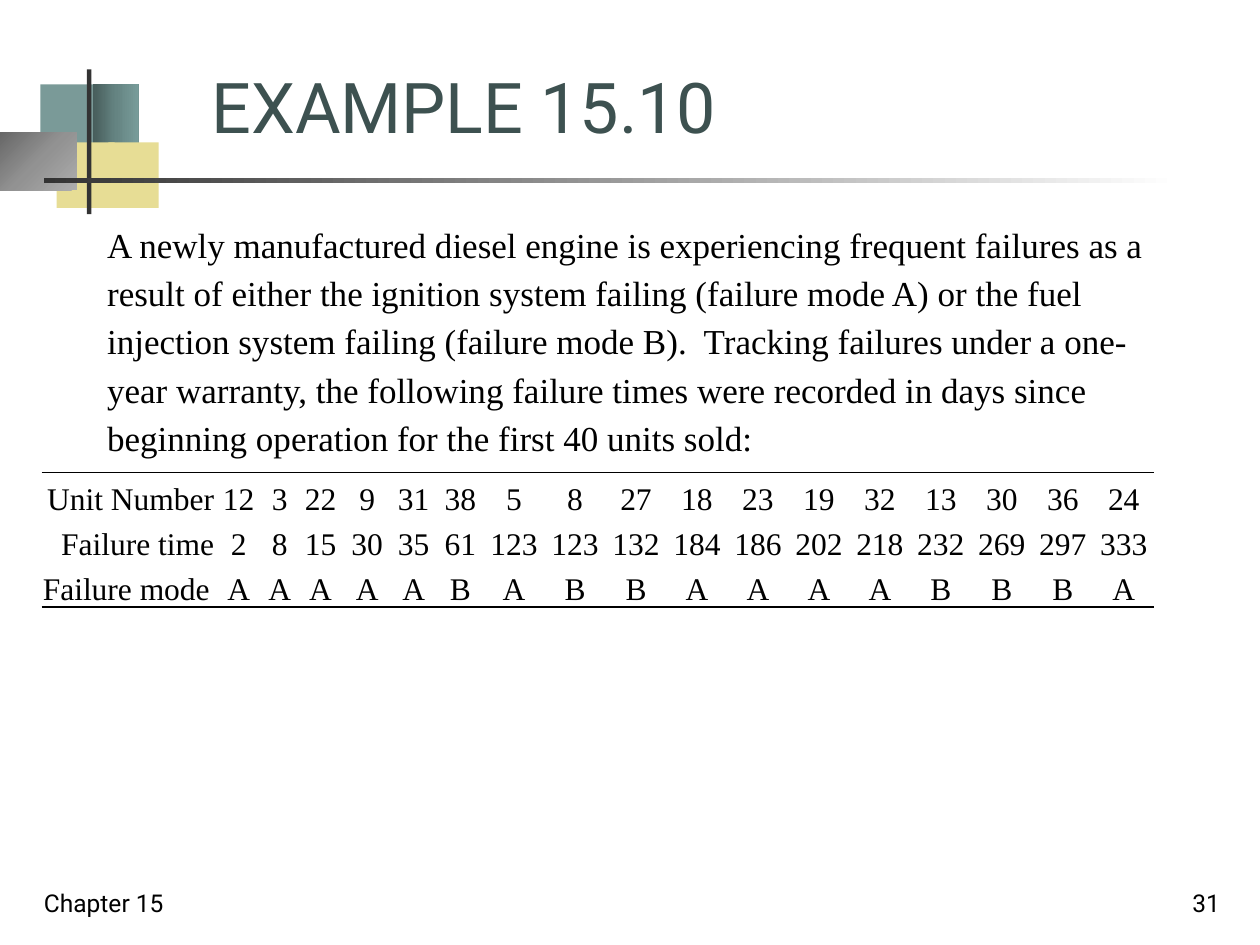
import dataclasses
import typing

import lxml.etree
import pptx
import pptx.dml.color
import pptx.enum.shapes
import pptx.enum.text
import pptx.oxml
import pptx.oxml.ns
import pptx.util

SLIDE_WIDTH = pptx.util.Inches(10)
SLIDE_HEIGHT = pptx.util.Inches(7.5)
GRID_COLUMNS, GRID_ROWS = 100, 75
ALIGN = pptx.enum.text.PP_ALIGN
ANCHOR = pptx.enum.text.MSO_ANCHOR


@dataclasses.dataclass(frozen=True)
class Theme:
    heading_font: str = "Roboto"
    reading_font: str = "Times New Roman"
    title_size: int = 40
    body_size: int = 20
    table_size: int = 18
    footer_size: int = 14
    rule_width: int = 1
    line_spacing: float = 1.15
    title: str = "3D5150"
    text: str = "000000"
    teal: str = "7A9A98"
    teal_fade: tuple[str, ...] = ("475D5B", "658482", "789C9A")
    yellow: str = "E7DD95"
    gray_fade: tuple[str, ...] = ("676767", "929292", "ADADAD")
    dark: str = "333333"
    rule_fade: tuple[str, ...] = ("333333", "FFFFFF")


class Area(typing.NamedTuple):
    column: float
    row: float
    columns: float
    rows: float


class Block(typing.NamedTuple):
    area: Area
    colors: tuple[str, ...]
    radial: bool = False


class TextStyle(typing.NamedTuple):
    font: str
    size: int
    color: str
    alignment: typing.Any = ALIGN.LEFT
    line_spacing: float = 1.0


class Footer(typing.NamedTuple):
    text: str
    area: Area
    alignment: typing.Any


THEME = Theme()
BLOCKS = (
    Block(Area(3.2, 6.7, 4.8, 5.2), (THEME.teal,)),
    Block(Area(7.4, 6.7, 3.6, 5.2), THEME.teal_fade),
    Block(Area(4.5, 11.3, 4.6, 5.2), (THEME.yellow,)),
    Block(Area(8.6, 11.3, 4, 5.2), (THEME.yellow,)),
    Block(Area(0, 10.5, 6.1, 4.6), THEME.gray_fade, radial=True),
    Block(Area(6.9, 5.5, 0.35, 11.5), (THEME.dark,)),
    Block(Area(3.5, 14.15, 90, 0.35), THEME.rule_fade),
)
FOOTERS = (
    Footer("Chapter 15", Area(2.5, 68.3, 20.8, 5), ALIGN.LEFT),
    Footer("31", Area(77, 68.3, 20.8, 5), ALIGN.RIGHT),
)
BODY = (
    "A newly manufactured diesel engine is experiencing frequent failures as a result of "
    "either the ignition system failing (failure mode A) or the fuel injection system failing "
    "(failure mode B).  Tracking failures under a one-year warranty, the following failure "
    "times were recorded in days since beginning operation for the first 40 units sold:"
)
FAILURES = (
    ("Unit Number ", *"12 3 22 9 31 38 5 8 27 18 23 19 32 13 30 36 24".split()),
    ("Failure time", *"2 8 15 30 35 61 123 123 132 184 186 202 218 232 269 297 333".split()),
    ("Failure mode", *"AAAAABABBAAAABBBA"),
)
LABEL_ALIGNMENTS = (ALIGN.RIGHT, ALIGN.RIGHT, ALIGN.LEFT)
TABLE_COLUMNS = (13.8, 3.7, 2.8, *[3.7] * 4, *[4.84] * 11)
TABLE_AREA = Area(3.3, 37.5, sum(TABLE_COLUMNS), 10.7)


def across(columns: float) -> int:
    return round(SLIDE_WIDTH * columns / GRID_COLUMNS)


def down(rows: float) -> int:
    return round(SLIDE_HEIGHT * rows / GRID_ROWS)


def box(area: Area) -> tuple[int, int, int, int]:
    return across(area.column), down(area.row), across(area.columns), down(area.rows)


def set_values(target: typing.Any, values: dict[str, typing.Any]) -> None:
    for name, value in values.items():
        setattr(target, name, value)


def rgb(color: str) -> pptx.dml.color.RGBColor:
    return pptx.dml.color.RGBColor.from_string(color)


def write(frame: typing.Any, text: str, style: TextStyle) -> typing.Any:
    paragraph = frame.paragraphs[0]
    set_values(paragraph, {
        "alignment": style.alignment,
        "line_spacing": style.line_spacing,
        "space_before": pptx.util.Pt(0),
    })
    run = paragraph.add_run()
    run.text = text
    set_values(run.font, {"name": style.font, "size": pptx.util.Pt(style.size)})
    run.font.color.rgb = rgb(style.color)
    return paragraph


def gradient(colors: tuple[str, ...], radial: bool) -> typing.Any:
    stops = "".join(
        f'<a:gs pos="{100000 * index // (len(colors) - 1)}"><a:srgbClr val="{color}"/></a:gs>'
        for index, color in enumerate(colors)
    )
    direction = (
        '<a:path path="circle"><a:fillToRect r="100000" b="100000"/></a:path>'
        if radial else '<a:lin ang="0" scaled="0"/>'
    )
    return pptx.oxml.parse_xml(
        f'<a:gradFill {pptx.oxml.ns.nsdecls("a")}><a:gsLst>{stops}</a:gsLst>{direction}</a:gradFill>'
    )


def draw_block(slide: typing.Any, block: Block) -> None:
    shape = slide.shapes.add_shape(pptx.enum.shapes.MSO_SHAPE.RECTANGLE, *box(block.area))
    shape.shadow.inherit = False
    shape.line.fill.background()
    if len(block.colors) == 1:
        shape.fill.solid()
        shape.fill.fore_color.rgb = rgb(block.colors[0])
        return
    shape.fill.gradient()
    properties = shape.element.spPr
    default_fill = properties.find(pptx.oxml.ns.qn("a:gradFill"))
    properties.replace(default_fill, gradient(block.colors, block.radial))


def fill_placeholder(placeholder: typing.Any, area: Area, anchor: typing.Any,
                     text: str, style: TextStyle) -> typing.Any:
    set_values(placeholder, dict(zip(("left", "top", "width", "height"), box(area))))
    set_values(placeholder.text_frame, {
        "vertical_anchor": anchor,
        "word_wrap": True,
        "auto_size": pptx.enum.text.MSO_AUTO_SIZE.NONE,
    })
    placeholder.element.getparent().append(placeholder.element)
    return write(placeholder.text_frame, text, style)


def draw_footer(slide: typing.Any, footer: Footer) -> None:
    frame = slide.shapes.add_textbox(*box(footer.area)).text_frame
    set_values(frame, {"word_wrap": True, "vertical_anchor": ANCHOR.BOTTOM})
    write(frame, footer.text,
          TextStyle(THEME.heading_font, THEME.footer_size, THEME.text, footer.alignment))


def set_borders(cell: typing.Any, ruled: set[str]) -> None:
    properties = cell._tc.get_or_add_tcPr()
    for index, side in enumerate("LRTB"):
        border = lxml.etree.Element(pptx.oxml.ns.qn(f"a:ln{side}"))
        properties.insert(index, border)
        if side in ruled:
            border.set("w", str(pptx.util.Pt(THEME.rule_width)))
            fill = lxml.etree.SubElement(border, pptx.oxml.ns.qn("a:solidFill"))
            lxml.etree.SubElement(fill, pptx.oxml.ns.qn("a:srgbClr"), val=THEME.text)
        else:
            lxml.etree.SubElement(border, pptx.oxml.ns.qn("a:noFill"))


def draw_table(slide: typing.Any) -> None:
    table = slide.shapes.add_table(len(FAILURES), len(TABLE_COLUMNS), *box(TABLE_AREA)).table
    set_values(table, {"first_row": False, "horz_banding": False})
    for column, width in zip(table.columns, TABLE_COLUMNS):
        column.width = across(width)
    margin = pptx.util.Inches(0.01)
    for row, values in enumerate(FAILURES):
        ruled = {0: {"T"}, len(FAILURES) - 1: {"B"}}.get(row, set())
        for column, value in enumerate(values):
            cell = table.cell(row, column)
            set_values(cell, {
                "margin_left": margin, "margin_right": margin, "margin_top": margin,
                "margin_bottom": 0, "vertical_anchor": ANCHOR.BOTTOM,
            })
            cell.fill.background()
            set_borders(cell, ruled)
            alignment = ALIGN.CENTER if column else LABEL_ALIGNMENTS[row]
            write(cell.text_frame, value, TextStyle(
                THEME.reading_font, THEME.table_size, THEME.text, alignment, THEME.line_spacing))


def main() -> None:
    presentation = pptx.Presentation()
    set_values(presentation, {"slide_width": SLIDE_WIDTH, "slide_height": SLIDE_HEIGHT})
    slide = presentation.slides.add_slide(presentation.slide_layouts[1])
    for block in BLOCKS:
        draw_block(slide, block)
    fill_placeholder(slide.shapes.title, Area(15.8, 2.5, 77.7, 9.7), ANCHOR.BOTTOM, "EXAMPLE 15.10",
                     TextStyle(THEME.heading_font, THEME.title_size, THEME.title))
    paragraph = fill_placeholder(
        slide.placeholders[1], Area(2.5, 16.7, 92.5, 20), ANCHOR.TOP, BODY,
        TextStyle(THEME.reading_font, THEME.body_size, THEME.text, line_spacing=THEME.line_spacing))
    properties = paragraph._p.get_or_add_pPr()
    properties.set("marL", str(across(5)))
    properties.set("indent", "0")
    lxml.etree.SubElement(properties, pptx.oxml.ns.qn("a:buNone"))
    for footer in FOOTERS:
        draw_footer(slide, footer)
    draw_table(slide)
    presentation.save("out.pptx")


if __name__ == "__main__":
    main()
